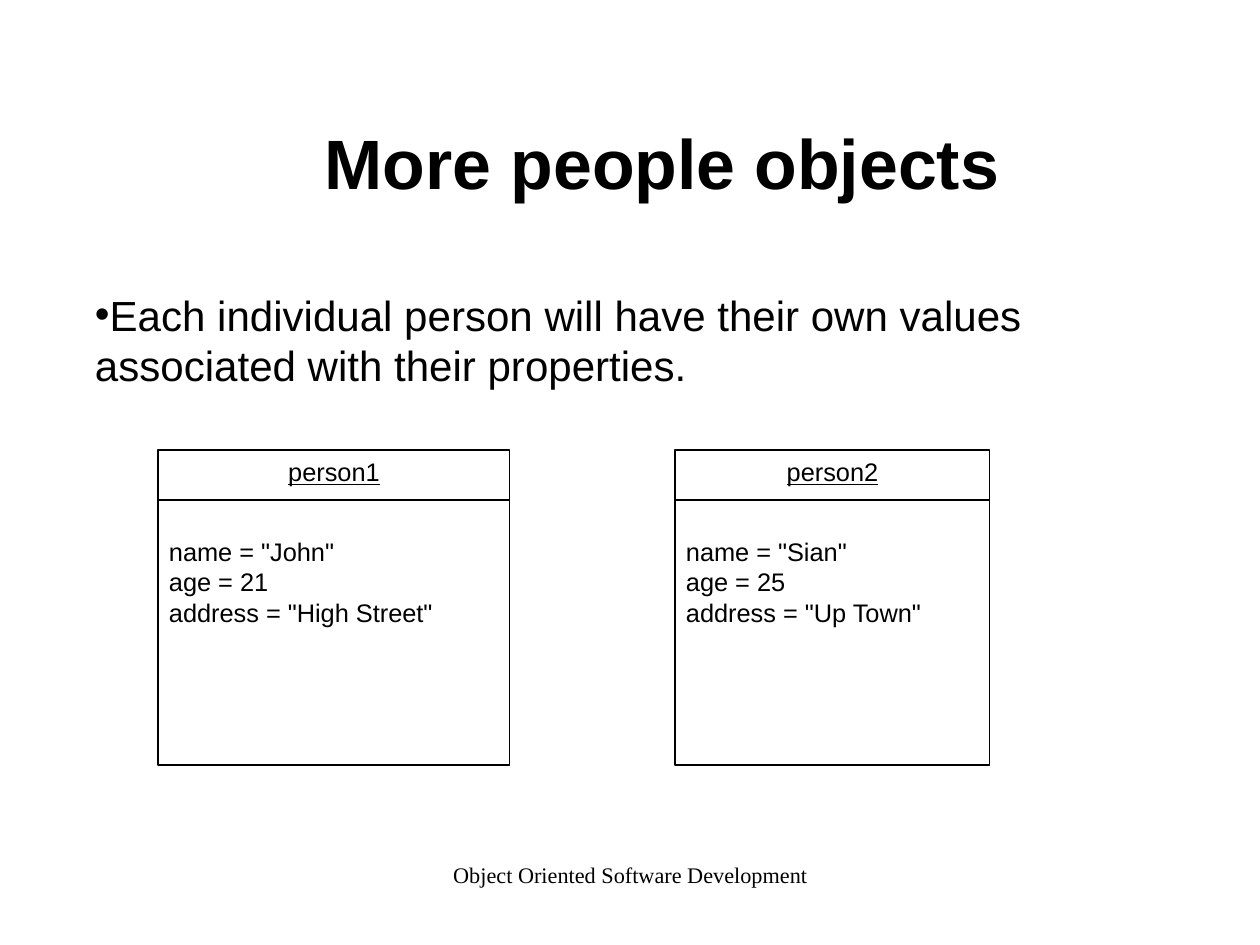
"""Build the slide that shows two person objects with their own values."""
from dataclasses import dataclass

from lxml import etree
from pptx import Presentation
from pptx import util as u
from pptx.dml.color import RGBColor
from pptx.enum import shapes, text
from pptx.oxml.ns import qn

SCALE = 8000
BLACK = RGBColor(0x00, 0x00, 0x00)
WHITE = RGBColor(0xFF, 0xFF, 0xFF)
LEFT, CENTER = text.PP_ALIGN.LEFT, text.PP_ALIGN.CENTER
TOP, MIDDLE = text.MSO_ANCHOR.TOP, text.MSO_ANCHOR.MIDDLE


@dataclass(frozen=True)
class Area:
    left: int
    top: int
    width: int
    height: int

    def emu(self) -> list[u.Emu]:
        return [px(n) for n in (self.left, self.top, self.width, self.height)]


@dataclass(frozen=True)
class Style:
    size: float
    name: str = "Arial"
    bold: bool = False
    underline: bool = False
    align: text.PP_ALIGN = LEFT
    anchor: text.MSO_ANCHOR = TOP
    insets: tuple[int, int, int, int] = (11, 6, 11, 6)
    bullet: str = ""


@dataclass(frozen=True)
class Person:
    title: str
    left: int
    width: int
    values: tuple[str, ...]


TITLE = Style(44, bold=True, align=CENTER, anchor=MIDDLE)
BODY = Style(26.5, bullet="•")
FOOTER = Style(14, name="Times New Roman", align=CENTER, insets=(0, 0, 0, 0))
OBJECT_NAME = Style(16, underline=True, align=CENTER)
OBJECT_VALUES = Style(16, insets=(11, 36, 11, 6))

TEXTS = (
    (Area(431, 861, 399, 65), FOOTER, "Object Oriented Software Development"),
    (Area(126, 83, 1073, 158), TITLE, "More people objects"),
    (Area(84, 283, 1103, 114), BODY,
     "Each individual person will have their own values associated with their properties."),
)
PEOPLE = (
    Person("person1", 158, 352, ('name = "John"', "age = 21", 'address = "High Street"')),
    Person("person2", 675, 315, ('name = "Sian"', "age = 25", 'address = "Up Town"')),
)


def px(length: int) -> u.Emu:
    return u.Emu(length * SCALE)


def add_bullet(para, style: Style) -> None:
    properties = para._p.get_or_add_pPr()
    etree.SubElement(properties, qn("a:buFont"), typeface=style.name)
    etree.SubElement(properties, qn("a:buChar"), char=style.bullet)


def write(box, lines: tuple[str, ...], style: Style) -> None:
    frame = box.text_frame
    left, top, right, bottom = (px(inset) for inset in style.insets)
    layout = {"word_wrap": True, "vertical_anchor": style.anchor,
              "margin_left": left, "margin_top": top,
              "margin_right": right, "margin_bottom": bottom}
    for key, value in layout.items():
        setattr(frame, key, value)
    font = {"name": style.name, "size": u.Pt(style.size),
            "bold": style.bold, "underline": style.underline}
    for index, line in enumerate(lines):
        para = frame.add_paragraph() if index else frame.paragraphs[0]
        para.alignment = style.align
        if style.bullet:
            add_bullet(para, style)
        span = para.add_run()
        span.text = line
        for key, value in font.items():
            setattr(span.font, key, value)
        span.font.color.rgb = BLACK


def add_text(page, area: Area, style: Style, line: str) -> None:
    write(page.shapes.add_textbox(*area.emu()), (line,), style)


def add_compartment(page, area: Area, lines: tuple[str, ...], style: Style) -> None:
    box = page.shapes.add_shape(shapes.MSO_SHAPE.RECTANGLE, *area.emu())
    box.shadow.inherit = False
    box.fill.solid()
    box.fill.fore_color.rgb = WHITE
    box.line.color.rgb = BLACK
    box.line.width = u.Pt(0.75)
    write(box, lines, style)


def add_person(page, person: Person) -> None:
    add_compartment(page, Area(person.left, 450, person.width, 96),
                    (person.title,), OBJECT_NAME)
    add_compartment(page, Area(person.left, 500, person.width, 265),
                    person.values, OBJECT_VALUES)


def main() -> None:
    deck = Presentation()
    deck.slide_width, deck.slide_height = px(1260), px(945)
    page = deck.slides.add_slide(deck.slide_layouts[6])
    for area, style, line in TEXTS:
        add_text(page, area, style, line)
    for person in PEOPLE:
        add_person(page, person)
    deck.save("out.pptx")


if __name__ == "__main__":
    main()
